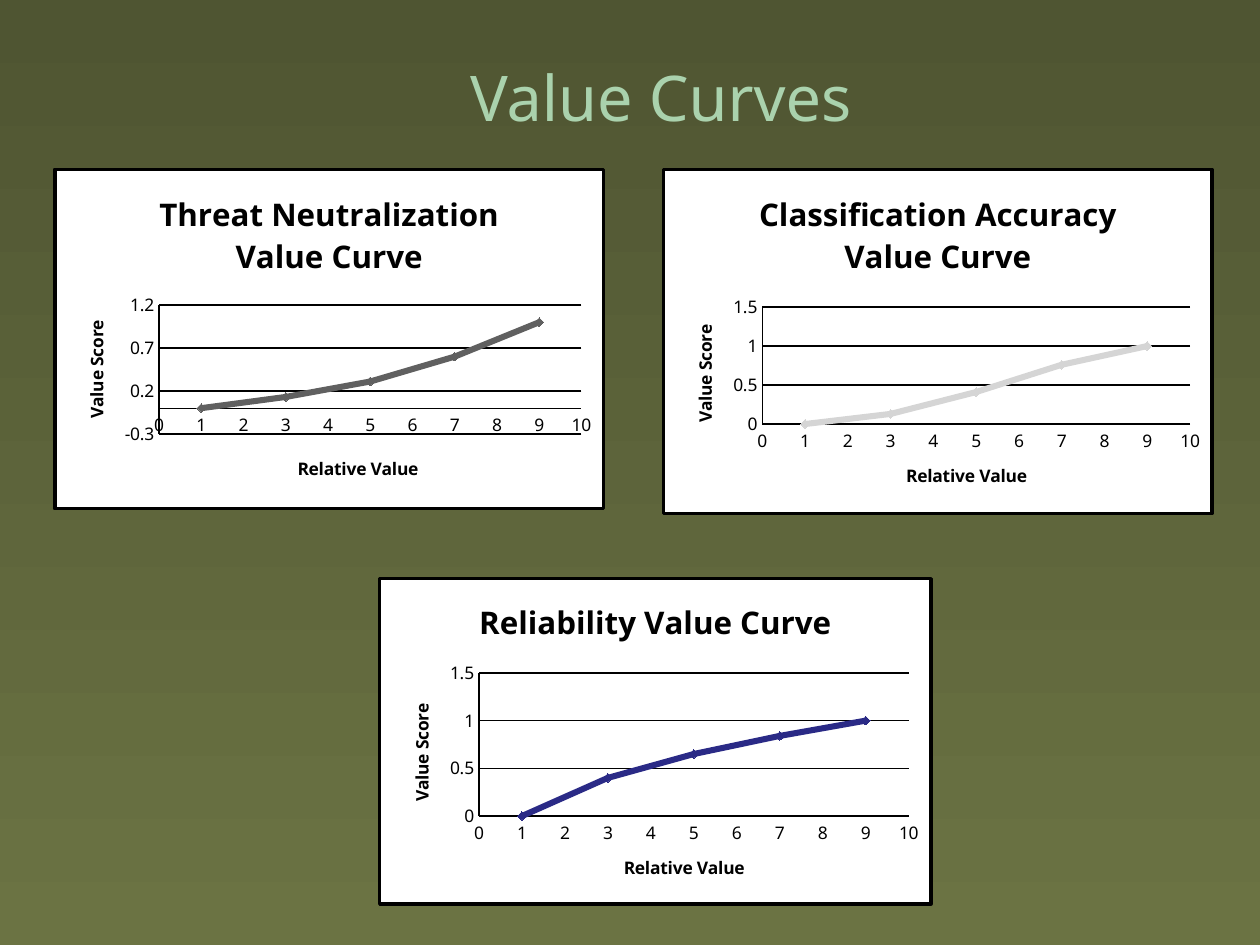
from dataclasses import dataclass

from lxml.etree import SubElement
from pptx import Presentation
from pptx.chart.data import XyChartData
from pptx.dml.color import RGBColor
from pptx.enum.chart import XL_CHART_TYPE as ChartType, XL_MARKER_STYLE as Marker
from pptx.enum.chart import XL_TICK_MARK as Tick
from pptx.enum.text import MSO_ANCHOR as Anchor, PP_ALIGN as Align
from pptx.oxml import parse_xml
from pptx.oxml.ns import nsdecls, qn
from pptx.util import Cm, Pt

FONT = "Noto Sans"
BLACK, WHITE = "000000", "FFFFFF"
RELATIVE_VALUES = (9, 7, 5, 3, 1)


@dataclass
class ValueCurve:
    title: str
    box: tuple[float, float, float, float]  # left, top, width, height in cm
    plot: tuple[float, float, float, float]  # x, y, w, h as shares of the chart
    scores: tuple[float, ...]
    color: str
    low: float = 0
    high: float = 1.5


CURVES = (
    ValueCurve("Threat Neutralization Value Curve", (1.07, 3.38, 11.13, 6.91),
               (0.19, 0.4, 0.77, 0.38), (1, 0.6, 0.31, 0.13, 0), "606060", -0.3, 1.2),
    ValueCurve("Classification Accuracy Value Curve", (13.34, 3.38, 11.13, 7.01),
               (0.18, 0.4, 0.78, 0.34), (1, 0.76, 0.41, 0.13, 0), "D5D5D5"),
    ValueCurve("Reliability Value Curve", (7.62, 11.63, 11.18, 6.63),
               (0.18, 0.29, 0.78, 0.44), (1, 0.84, 0.65, 0.4, 0), "2A2A86"),
)


def rgb(color: str) -> RGBColor:
    return RGBColor.from_string(color)


def format_font(font, size: float, color: str = BLACK, bold: bool = False) -> None:
    font.name, font.size, font.bold = FONT, Pt(size), bold
    font.color.rgb = rgb(color)


def write(tf, text: str, **fmt):
    p = tf.paragraphs[0]
    r = p.add_run()
    r.text = text
    format_font(r.font, **fmt)
    return p


def format_line(line, color: str, width: float) -> None:
    line.color.rgb = rgb(color)
    line.width = Pt(width)


def format_axis(axis, title: str, low: float, high: float, step: float) -> None:
    axis.minimum_scale, axis.maximum_scale, axis.major_unit = low, high, step
    axis.major_tick_mark = axis.minor_tick_mark = Tick.NONE
    axis.tick_labels.number_format = "General"
    axis.tick_labels.number_format_is_linked = False
    format_line(axis.format.line, BLACK, 0.75)
    write(axis.axis_title.text_frame, title, size=10, bold=True)


def frame_chart(chart) -> None:
    """Give the chart area a white fill and a black border."""
    chart._chartSpace.find(qn("c:chart")).addnext(parse_xml(
        f'<c:spPr {nsdecls("c", "a")}>'
        f'<a:solidFill><a:srgbClr val="{WHITE}"/></a:solidFill>'
        f'<a:ln w="{Pt(2)}"><a:solidFill><a:srgbClr val="{BLACK}"/></a:solidFill></a:ln>'
        '</c:spPr>'))


def place_plot(chart, plot: tuple[float, ...]) -> None:
    """Fix the inner plot area at the given shares of the chart."""
    area = chart._chartSpace.find(qn("c:chart")).find(qn("c:plotArea"))
    for old in area.findall(qn("c:layout")):
        area.remove(old)
    layout = parse_xml(f'<c:layout {nsdecls("c")}/>')
    manual = SubElement(layout, qn("c:manualLayout"))
    settings = [("layoutTarget", "inner"), ("xMode", "edge"), ("yMode", "edge")]
    for tag, val in settings + list(zip("xywh", plot)):
        SubElement(manual, qn(f"c:{tag}")).set("val", str(val))
    area.insert(0, layout)


def add_curve(slide, curve: ValueCurve) -> None:
    data = XyChartData()
    points = data.add_series("Series 1")
    for x, y in zip(RELATIVE_VALUES, curve.scores):
        points.add_data_point(x, y)
    chart = slide.shapes.add_chart(
        ChartType.XY_SCATTER_SMOOTH, *map(Cm, curve.box), data).chart
    chart.has_legend = False
    format_font(chart.font, 10)
    write(chart.chart_title.text_frame, curve.title, size=18, bold=True)
    chart.plots[0].vary_by_categories = False

    format_axis(chart.category_axis, "Relative Value", 0, 10, 1)
    chart.category_axis.has_major_gridlines = False
    format_axis(chart.value_axis, "Value Score", curve.low, curve.high, 0.5)
    chart.value_axis.has_major_gridlines = True
    format_line(chart.value_axis.major_gridlines.format.line, BLACK, 0.75)

    series = chart.plots[0].series[0]
    series.smooth = True
    format_line(series.format.line, curve.color, 3.5)
    series.marker.style, series.marker.size = Marker.DIAMOND, 5
    series.marker.format.fill.solid()
    series.marker.format.fill.fore_color.rgb = rgb(curve.color)
    format_line(series.marker.format.line, curve.color, 0.75)

    frame_chart(chart)
    place_plot(chart, curve.plot)


def set_background(slide, top: str, bottom: str) -> None:
    fill = slide.background.fill
    fill.gradient()
    fill.gradient_angle = 270
    for stop, color, position in zip(fill.gradient_stops, (top, bottom), (0, 1)):
        stop.color.rgb = rgb(color)
        stop.position = position


def set_title(slide, text: str) -> None:
    sp = slide.shapes.title
    sp.left, sp.top, sp.width, sp.height = Cm(0), Cm(0), Cm(25.4), Cm(3.89)
    tf = sp.text_frame
    tf.word_wrap, tf.vertical_anchor = True, Anchor.MIDDLE
    tf.margin_left = tf.margin_right = tf.margin_top = tf.margin_bottom = Cm(0.1)
    p = write(tf, text, size=36, color="AAD2AD")
    p.alignment = Align.CENTER
    p._p.get_or_add_pPr().set("marL", str(Cm(1.24)))


def main() -> None:
    prs = Presentation()
    prs.slide_width, prs.slide_height = Cm(25.4), Cm(19.05)
    slide = prs.slides.add_slide(prs.slide_layouts[5])
    set_background(slide, "4F5532", "6B7343")
    set_title(slide, "Value Curves")
    for curve in CURVES:
        add_curve(slide, curve)
    prs.save("out.pptx")


if __name__ == "__main__":
    main()
